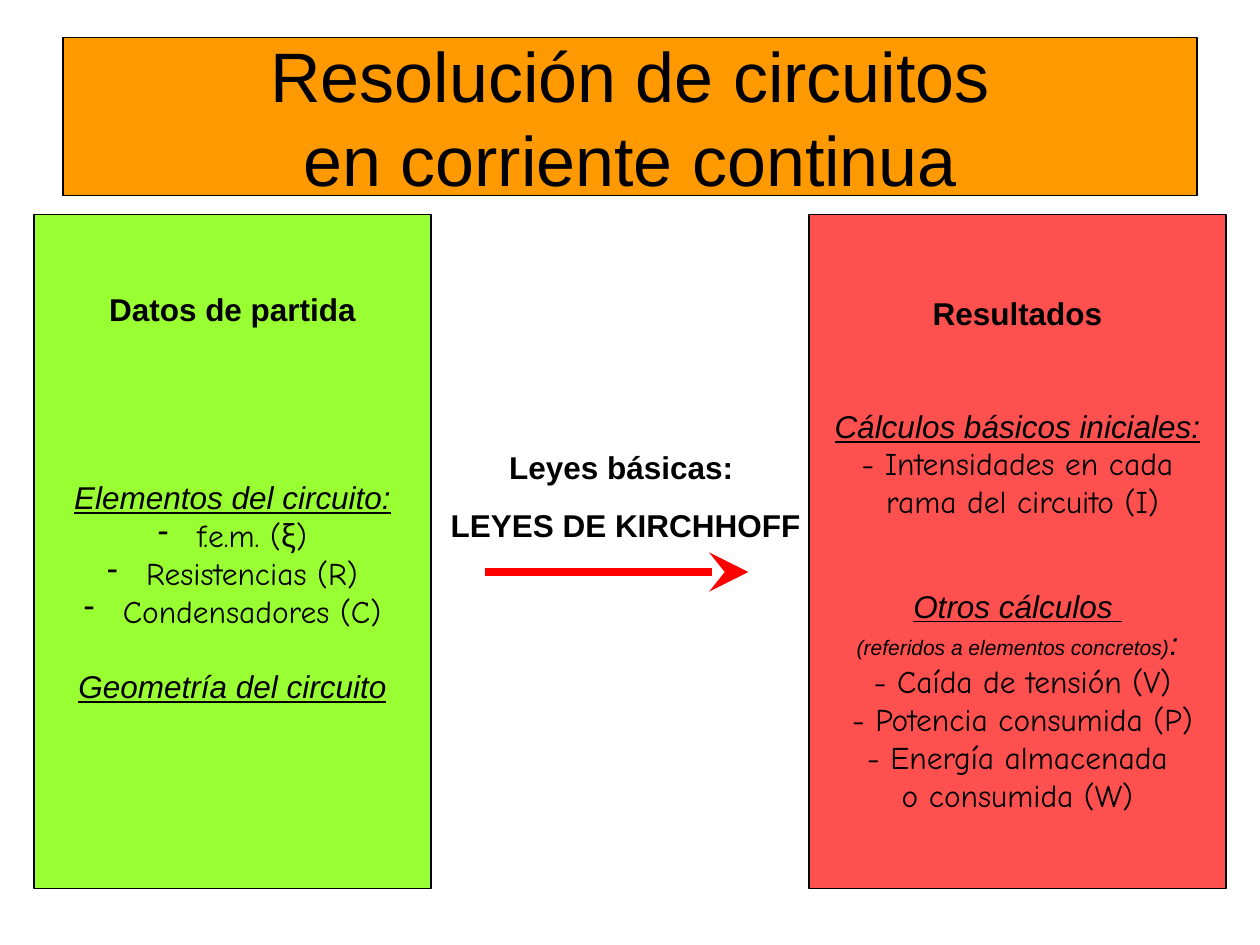
import dataclasses

import lxml.etree
import pptx
import pptx.dml.color
import pptx.enum.shapes
import pptx.enum.text
import pptx.oxml.ns
import pptx.util

PX = 9144
BLACK = pptx.dml.color.RGBColor(0x00, 0x00, 0x00)
ORANGE = pptx.dml.color.RGBColor(0xFF, 0x99, 0x00)
GREEN = pptx.dml.color.RGBColor(0x99, 0xFF, 0x33)
CORAL = pptx.dml.color.RGBColor(0xFF, 0x50, 0x50)
RED = pptx.dml.color.RGBColor(0xFF, 0x00, 0x00)

TITLE = {"size": 40}
HEADING = {"bold": True}
TOPIC = {"italic": True, "underline": True}
ITEM = {"name": "Comic Neue"}
NOTE = {"italic": True, "size": 12}
COLON = {"italic": True}


@dataclasses.dataclass
class Line:
    """One paragraph: styled spans, space before, left shift and bullet."""

    spans: list
    before: float = 0
    shift: int = 0
    bullet: str = ""


def line(text, style, **options):
    """Make a paragraph with a single span."""
    return Line([(text, style)], **options)


GIVEN = [
    line("Datos de partida", HEADING),
    line("Elementos del circuito:", TOPIC, before=86),
    *(
        line(text, ITEM, shift=31, bullet="-")
        for text in ("f.e.m. (ξ)", "Resistencias (R)", "Condensadores (C)")
    ),
    line("Geometría del circuito", TOPIC, before=21.5),
]

RESULTS = [
    line("Resultados", HEADING),
    line("Cálculos básicos iniciales:", TOPIC, before=43),
    line("- Intensidades en cada", ITEM),
    line("rama del circuito (I)", ITEM, shift=8),
    line("Otros cálculos ", TOPIC, before=38),
    Line([("(referidos a elementos concretos)", NOTE), (":", COLON)]),
    line("- Caída de tensión (V)", ITEM, shift=8),
    line("- Potencia consumida (P)", ITEM, shift=8),
    line("- Energía almacenada", ITEM),
    line("o consumida (W)", ITEM),
]

LAWS = [
    line("Leyes básicas: ", HEADING),
    line("LEYES DE KIRCHHOFF", HEADING, before=11.2),
]


def px(*lengths):
    """Turn px lengths into EMU."""
    return [length * PX for length in lengths]


def paint(shape, color):
    """Fill a box and give it a thin black outline."""
    shape.fill.solid()
    shape.fill.fore_color.rgb = color
    shape.line.color.rgb = BLACK
    shape.line.width = pptx.util.Pt(0.75)


def format_span(span, name="Arial", size=18, bold=False, italic=False, underline=False):
    """Set the font of one span."""
    font = span.font
    font.name = name
    font.size = pptx.util.Pt(size)
    font.bold = bold
    font.italic = italic
    font.underline = underline
    font.color.rgb = BLACK


def set_indent(para, shift, bullet):
    """Give a paragraph a left margin and, if asked, a hanging bullet."""
    properties = para._p.get_or_add_pPr()
    properties.set("marL", str(shift * PX))
    properties.set("indent", str(-shift * PX if bullet else 0))
    if bullet:
        mark = lxml.etree.SubElement(properties, pptx.oxml.ns.qn("a:buChar"))
        mark.set("char", bullet)


def write_lines(frame, lines):
    """Write centred paragraphs into a text frame."""
    frame.text = "\n".join(item.spans[0][0] for item in lines)
    for para, item in zip(frame.paragraphs, lines):
        set_indent(para, item.shift, item.bullet)
        para.alignment = pptx.enum.text.PP_ALIGN.CENTER
        if item.before:
            para.space_before = pptx.util.Pt(item.before)
        for text, _ in item.spans[1:]:
            para.add_run().text = text
        for span, (_, style) in zip(para.runs, item.spans):
            format_span(span, **style)


def add_title(page, left, top, width, height):
    """Place the title banner."""
    title = page.shapes.title
    title.left, title.top, title.width, title.height = px(left, top, width, height)
    paint(title, ORANGE)
    frame = title.text_frame
    frame.text = "Resolución de circuitos\ven corriente continua"
    frame.auto_size = pptx.enum.text.MSO_AUTO_SIZE.NONE
    frame.vertical_anchor = pptx.enum.text.MSO_ANCHOR.MIDDLE
    frame.margin_top = frame.margin_bottom = 0
    para = frame.paragraphs[0]
    para.alignment = pptx.enum.text.PP_ALIGN.CENTER
    para.line_spacing = pptx.util.Pt(48)
    for span in para.runs:
        format_span(span, **TITLE)


def add_panel(page, left, top, width, height, color, inset, lines):
    """Place a coloured panel whose text starts at the given inset."""
    panel = page.shapes.add_shape(
        pptx.enum.shapes.MSO_SHAPE.RECTANGLE, *px(left, top, width, height)
    )
    panel.shadow.inherit = False
    paint(panel, color)
    frame = panel.text_frame
    frame.word_wrap = False
    frame.vertical_anchor = pptx.enum.text.MSO_ANCHOR.TOP
    frame.margin_top = inset * PX
    write_lines(frame, lines)


def add_laws(page, left, top, width, height):
    """Place the caption of the laws and the arrow below it."""
    caption = page.shapes.add_textbox(*px(left, top, width, height))
    caption.text_frame.word_wrap = True
    write_lines(caption.text_frame, LAWS)
    level = top + height + 17
    arrow = page.shapes.add_connector(
        pptx.enum.shapes.MSO_CONNECTOR.STRAIGHT,
        *px(left + 58, level, left + 267, level),
    )
    arrow.line.color.rgb = RED
    arrow.line.width = pptx.util.Pt(4.5)
    head = lxml.etree.SubElement(arrow.line._get_or_add_ln(), pptx.oxml.ns.qn("a:tailEnd"))
    for key, value in (("type", "stealth"), ("w", "lg"), ("len", "lg")):
        head.set(key, value)
    lxml.etree.SubElement(arrow._element.spPr, pptx.oxml.ns.qn("a:effectLst"))


def main():
    """Build and save the deck."""
    deck = pptx.Presentation()
    deck.slide_width, deck.slide_height = px(1000, 750)
    page = deck.slides.add_slide(deck.slide_layouts[5])
    add_title(page, 50, 30, 900, 125)
    add_panel(page, 27, 170, 315, 535, GREEN, 60, GIVEN)
    add_panel(page, 642, 170, 331, 535, CORAL, 63, RESULTS)
    add_laws(page, 327, 351, 339, 86)
    deck.save("out.pptx")


if __name__ == "__main__":
    main()
